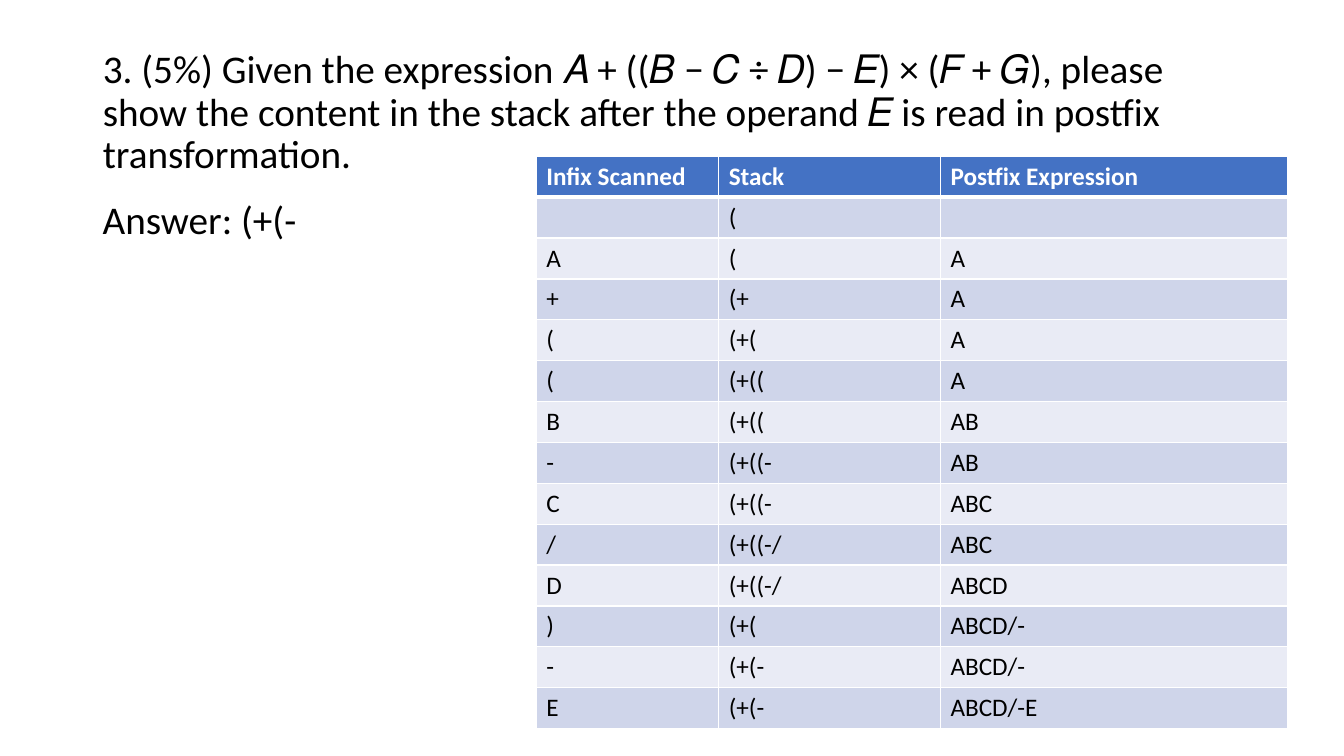
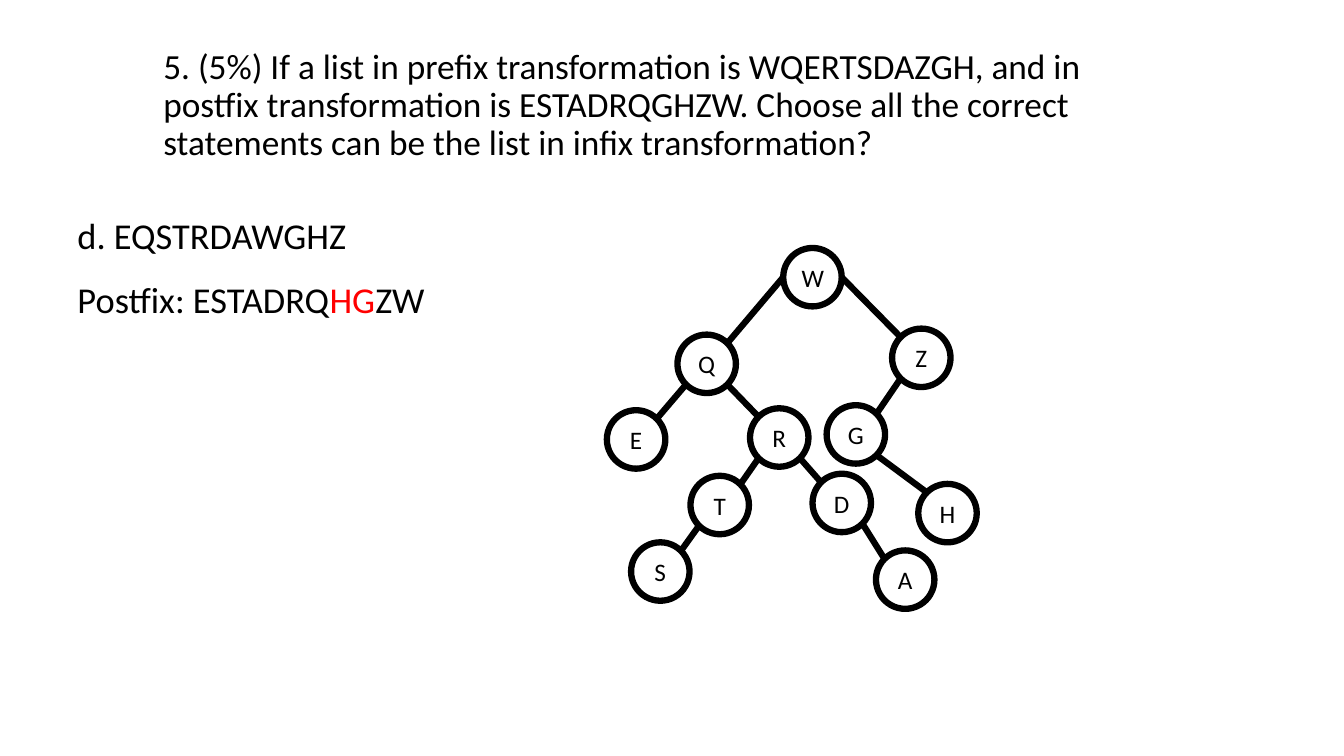
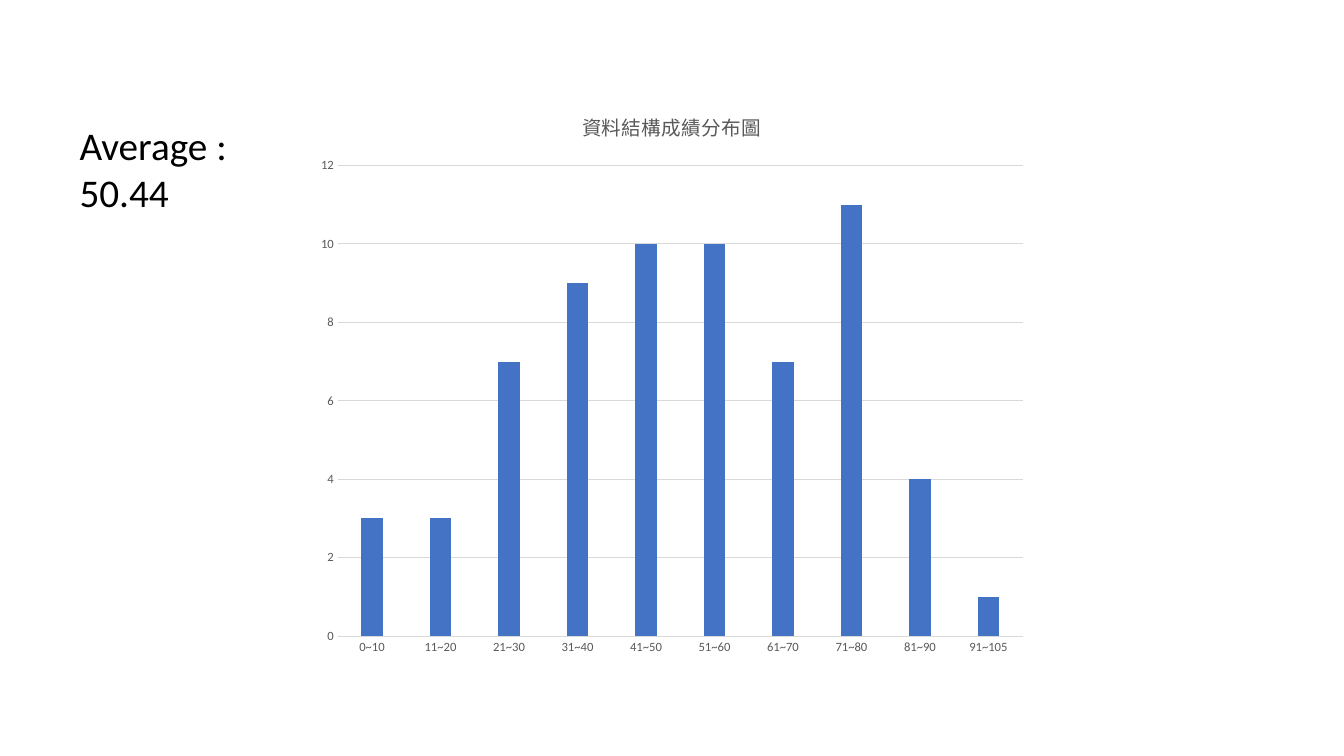
"""Build three review slides: a stack table, a binary tree and a score chart."""
import math

import pptx
import pptx.chart.data
import pptx.dml.color
import pptx.enum.chart
import pptx.enum.shapes
import pptx.enum.text
import pptx.oxml
import pptx.oxml.ns
import pptx.util

RGB = pptx.dml.color.RGBColor
BLACK = RGB(0x00, 0x00, 0x00)
WHITE = RGB(0xFF, 0xFF, 0xFF)
RED = RGB(0xFF, 0x00, 0x00)
BLUE = RGB(0x44, 0x72, 0xC4)
BAND_DARK = RGB(0xCF, 0xD5, 0xEA)
BAND_LIGHT = RGB(0xE9, 0xEB, 0xF5)
GREY = RGB(0x59, 0x59, 0x59)
GRID_GREY = RGB(0xD9, 0xD9, 0xD9)

FONT = "Calibri"
SLIDE_W = pptx.util.Inches(13.33)
SLIDE_H = pptx.util.Inches(7.5)
TITLE_ONLY, BLANK = 5, 6
NODE_SIZE = pptx.util.Inches(0.58)
TREE_LINE = pptx.util.Pt(4.5)

STACK_COLUMNS = (13.58, 16.5, 25.8)
STACK_ROWS = (
    ("Infix Scanned", "Stack", "Postfix Expression"),
    ("", "(", ""),
    ("A", "(", "A"),
    ("+", "(+", "A"),
    ("(", "(+(", "A"),
    ("(", "(+((", "A"),
    ("B", "(+((", "AB"),
    ("-", "(+((-", "AB"),
    ("C", "(+((-", "ABC"),
    ("/", "(+((-/", "ABC"),
    ("D", "(+((-/", "ABCD"),
    (")", "(+(", "ABCD/-"),
    ("-", "(+(-", "ABCD/-"),
    ("E", "(+(-", "ABCD/-E"),
)
TREE_NODES = {
    "W": (60.45, 36.67), "Q": (52.58, 48.13), "Z": (68.55, 47.33),
    "E": (47.33, 58.13), "R": (57.98, 57.87), "G": (63.68, 57.47),
    "T": (53.55, 66.8), "D": (62.63, 66.53), "H": (70.5, 67.87),
    "S": (49.13, 75.6), "A": (67.35, 76.67),
}
TREE_EDGES = ("WQ", "WZ", "QE", "QR", "ZG", "RT", "RD", "GH", "TS", "DA")
SCORES = {
    "0~10": 3, "11~20": 3, "21~30": 7, "31~40": 9, "41~50": 10,
    "51~60": 10, "61~70": 7, "71~80": 11, "81~90": 4, "91~105": 1,
}


def across(percent):
    """Return a share of the slide width."""
    return round(SLIDE_W * percent / 100)


def down(percent):
    """Return a share of the slide height."""
    return round(SLIDE_H * percent / 100)


def area(left, top, width, height):
    """Turn percentages of the slide into a left, top, width, height tuple."""
    return across(left), down(top), across(width), down(height)


def style_font(font, size, color=BLACK, bold=False):
    """Apply the shared typeface with a size and colour."""
    font.name = FONT
    font.size = pptx.util.Pt(size)
    font.bold = bold
    font.color.rgb = color


def add_title(s, text, place, size):
    """Fill, move and format the title placeholder."""
    sp = s.shapes.title
    sp.left, sp.top, sp.width, sp.height = area(*place)
    tf = sp.text_frame
    tf.text = text
    tf.word_wrap = True
    tf.auto_size = pptx.enum.text.MSO_AUTO_SIZE.NONE
    tf.vertical_anchor = pptx.enum.text.MSO_ANCHOR.MIDDLE
    p = tf.paragraphs[0]
    p.alignment = pptx.enum.text.PP_ALIGN.LEFT
    p.line_spacing = 0.9
    style_font(p.runs[0].font, size)


def add_text(s, paragraphs, place, size, spacing=1.0, before=0, after=0):
    """Add a wrapped text box whose paragraphs are lists of (text, colour)."""
    tf = s.shapes.add_textbox(*area(*place)).text_frame
    tf.word_wrap = True
    for i, pieces in enumerate(paragraphs):
        p = tf.add_paragraph() if i else tf.paragraphs[0]
        p.line_spacing = spacing
        p.space_before = pptx.util.Pt(before)
        p.space_after = pptx.util.Pt(after)
        for text, color in pieces:
            r = p.add_run()
            r.text = text
            style_font(r.font, size, color)


def add_borders(cell, bottom):
    """Give a cell white borders, with its own bottom width in points."""
    tc_pr = cell._tc.get_or_add_tcPr()
    widths = {"lnL": 1, "lnR": 1, "lnT": 1, "lnB": bottom}
    for i, (side, width) in enumerate(widths.items()):
        line = pptx.oxml.parse_xml(
            f'<a:{side} {pptx.oxml.ns.nsdecls("a")} w="{pptx.util.Pt(width)}">'
            f'<a:solidFill><a:srgbClr val="{WHITE}"/></a:solidFill></a:{side}>'
        )
        tc_pr.insert(i, line)


def add_stack_table(s, place):
    """Add the banded table that traces the stack."""
    frame = s.shapes.add_table(len(STACK_ROWS), len(STACK_COLUMNS), *area(*place))
    table = frame.table
    for column, width in zip(table.columns, STACK_COLUMNS):
        column.width = across(width)
    for i, texts in enumerate(STACK_ROWS):
        header = i == 0
        fill = BLUE if header else (BAND_DARK if i % 2 else BAND_LIGHT)
        for j, text in enumerate(texts):
            cell = table.cell(i, j)
            cell.text = text
            cell.fill.solid()
            cell.fill.fore_color.rgb = fill
            style_font(cell.text_frame.paragraphs[0].font, 18,
                       WHITE if header else BLACK, header)
            add_borders(cell, 3 if header or i == 0 else 1)


def node_center(name):
    """Return the centre of a tree node."""
    x, y = TREE_NODES[name]
    return across(x), down(y)


def rim(name, degrees):
    """Return the point on a node's rim at an angle measured clockwise."""
    x, y = node_center(name)
    angle = math.radians(degrees)
    radius = NODE_SIZE / 2
    return round(x + radius * math.cos(angle)), round(y + radius * math.sin(angle))


def add_edge(s, parent, child):
    """Join a parent to its child, from the sides of the root or diagonally."""
    slope = 0 if parent == "W" else 45
    if TREE_NODES[child][0] < TREE_NODES[parent][0]:
        start, end = rim(parent, 180 - slope), rim(child, -45)
    else:
        start, end = rim(parent, slope), rim(child, -135)
    line = s.shapes.add_connector(
        pptx.enum.shapes.MSO_CONNECTOR.STRAIGHT, *start, *end)
    line.line.color.rgb = BLACK
    line.line.width = TREE_LINE
    line._element.spPr.append(
        pptx.oxml.parse_xml(f'<a:effectLst {pptx.oxml.ns.nsdecls("a")}/>'))


def add_node(s, name):
    """Draw one lettered circle of the tree."""
    x, y = node_center(name)
    half = NODE_SIZE // 2
    sp = s.shapes.add_shape(pptx.enum.shapes.MSO_SHAPE.OVAL,
                            x - half, y - half, NODE_SIZE, NODE_SIZE)
    sp.shadow.inherit = False
    sp.fill.background()
    sp.line.color.rgb = BLACK
    sp.line.width = TREE_LINE
    tf = sp.text_frame
    tf.text = name
    tf.vertical_anchor = pptx.enum.text.MSO_ANCHOR.MIDDLE
    p = tf.paragraphs[0]
    p.alignment = pptx.enum.text.PP_ALIGN.CENTER
    style_font(p.runs[0].font, 18)


def style_axis(axis):
    """Format the labels of an axis and hide its ticks."""
    axis.major_tick_mark = pptx.enum.chart.XL_TICK_MARK.NONE
    axis.minor_tick_mark = pptx.enum.chart.XL_TICK_MARK.NONE
    style_font(axis.tick_labels.font, 9, GREY)


def style_grid_line(line):
    """Format a thin grey chart line."""
    line.color.rgb = GRID_GREY
    line.width = pptx.util.Pt(0.75)


def add_score_chart(s, title, place):
    """Add the column chart of the score distribution."""
    data = pptx.chart.data.CategoryChartData()
    data.categories = list(SCORES)
    data.add_series("Series 1", list(SCORES.values()))
    kind = pptx.enum.chart.XL_CHART_TYPE.COLUMN_CLUSTERED
    chart = s.shapes.add_chart(kind, *area(*place), data).chart
    style_font(chart.font, 10)
    chart.has_legend = False
    chart.has_title = True
    tf = chart.chart_title.text_frame
    tf.text = title
    style_font(tf.paragraphs[0].runs[0].font, 14, GREY)
    chart.chart_title.include_in_layout = False

    plot = chart.plots[0]
    plot.gap_width = 219
    plot.overlap = -27
    plot.vary_by_categories = False
    fill = plot.series[0].format.fill
    fill.solid()
    fill.fore_color.rgb = BLUE

    categories, values = chart.category_axis, chart.value_axis
    style_axis(categories)
    style_axis(values)
    style_grid_line(categories.format.line)
    values.format.line.fill.background()
    values.has_major_gridlines = True
    style_grid_line(values.major_gridlines.format.line)
    values.minimum_scale, values.maximum_scale, values.major_unit = 0, 12, 2


def stack_slide(prs):
    """Build the slide on the stack during postfix transformation."""
    s = prs.slides.add_slide(prs.slide_layouts[TITLE_ONLY])
    add_title(s, "3. (5%) Given the expression 𝐴 + ((𝐵 − 𝐶 ÷ 𝐷) − 𝐸) × (𝐹 + 𝐺), "
              "please show the content in the stack after the operand 𝐸 is read "
              "in postfix transformation.", (6.9, 5.33, 86.25, 19.33), 28)
    add_stack_table(s, (39.9, 20.67, 55.88, 75.73))
    add_text(s, [[("Answer: (+(-", BLACK)]], (6.9, 25.87, 33, 55.47), 28,
             spacing=0.9, before=10)


def tree_slide(prs):
    """Build the slide on the binary tree."""
    s = prs.slides.add_slide(prs.slide_layouts[TITLE_ONLY])
    add_title(s, "5. (5%) If a list in prefix transformation is WQERTSDAZGH, and in "
              "postfix transformation is ESTADRQGHZW. Choose all the correct "
              "statements can be the list in infix transformation?",
              (11.4, 6.4, 77.2, 15.33), 25.2)
    add_text(s, [[("d. EQSTRDAWGHZ", BLACK)],
                 [("Postfix: ESTADRQ", BLACK), ("HG", RED), ("ZW", BLACK)]],
             (5.03, 28.13, 29.4, 66.67), 26, spacing=0.9, before=10, after=8)
    for parent, child in TREE_EDGES:
        add_edge(s, parent, child)
    for name in TREE_NODES:
        add_node(s, name)


def score_slide(prs):
    """Build the slide on the score distribution."""
    s = prs.slides.add_slide(prs.slide_layouts[BLANK])
    add_score_chart(s, "資料結構成績分布圖", (22.8, 11.87, 54.38, 76.27))
    add_text(s, [[("Average : 50.44", BLACK)]], (5.18, 15.33, 14.4, 13.87), 28)


def main():
    """Create the presentation and save it."""
    prs = pptx.Presentation()
    prs.slide_width, prs.slide_height = SLIDE_W, SLIDE_H
    stack_slide(prs)
    tree_slide(prs)
    score_slide(prs)
    prs.save("out.pptx")


if __name__ == "__main__":
    main()
